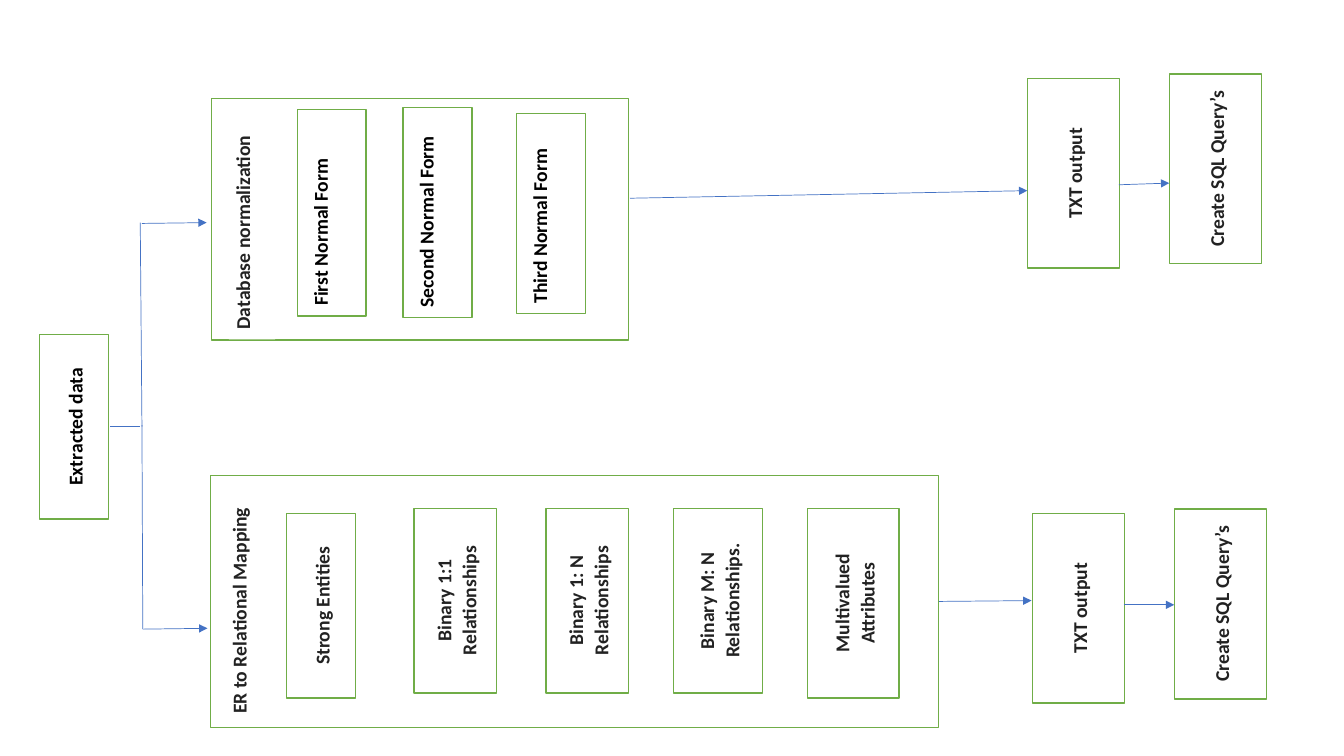
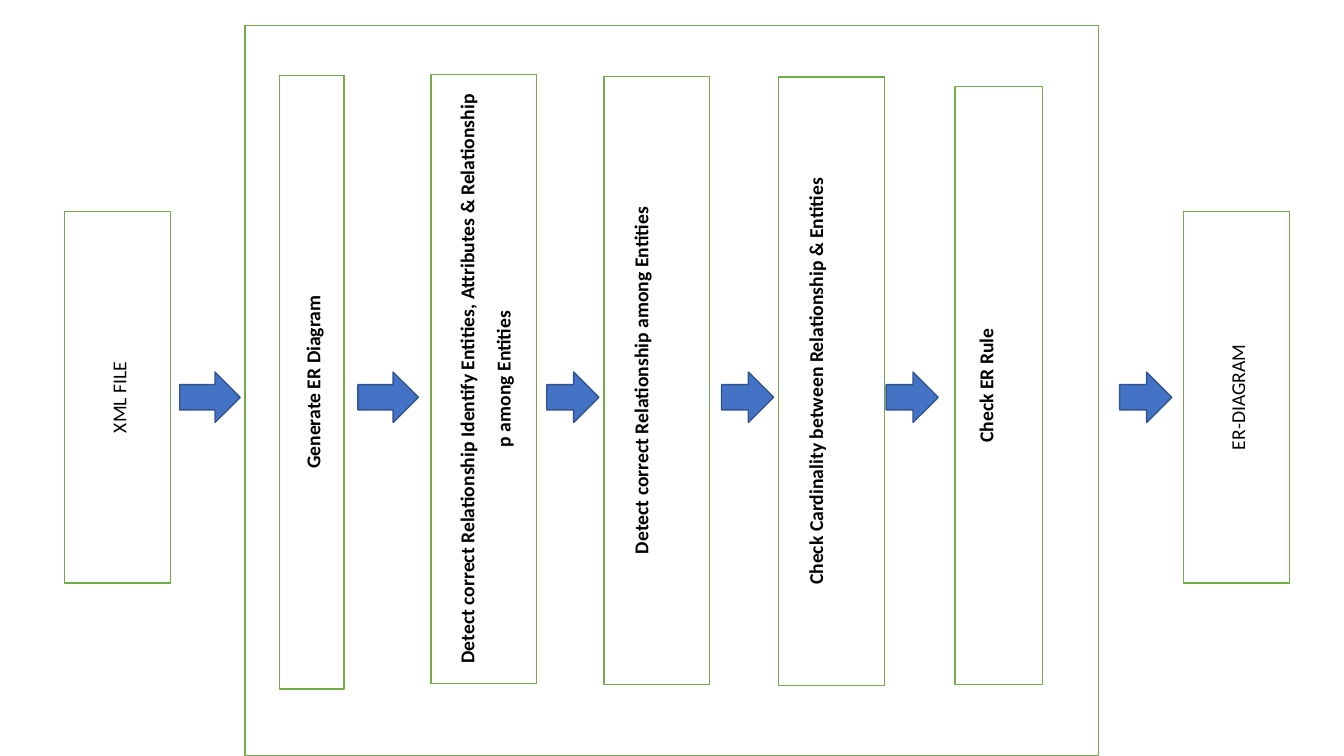
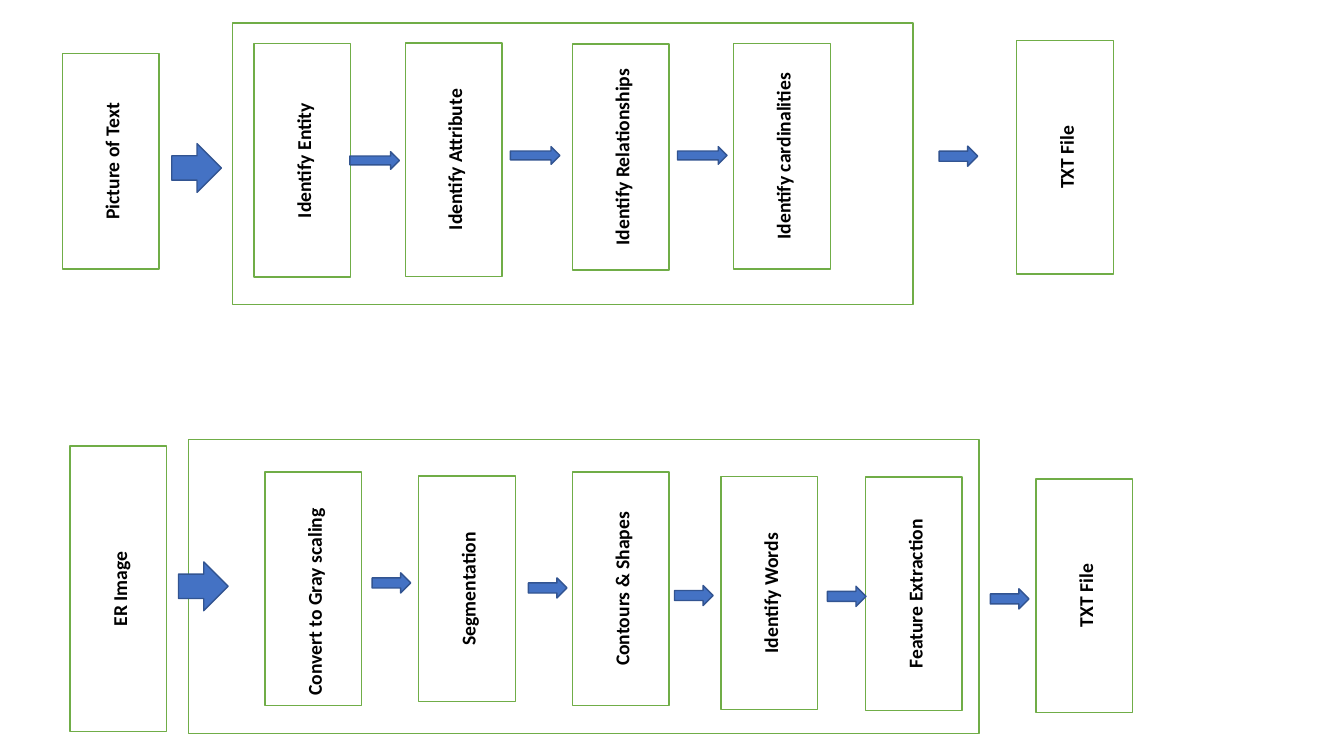
from dataclasses import dataclass
from lxml import etree
from pptx import Presentation, util as u
from pptx.dml.color import RGBColor as Rgb
from pptx.enum import shapes, text
from pptx.oxml.ns import qn


@dataclass(frozen=True)
class Theme:
    font: str = "Calibri"
    size: u.Pt = u.Pt(14)
    after: u.Pt = u.Pt(8)
    lead: float = 1.07
    tall: u.Pt = u.Pt(22.5)
    thin: u.Pt = u.Pt(0.5)
    rule: u.Pt = u.Pt(1)
    white: Rgb = Rgb(0xFF, 0xFF, 0xFF)
    black: Rgb = Rgb(0, 0, 0)
    ink: Rgb = Rgb(0x22, 0x22, 0x22)
    green: Rgb = Rgb(0x70, 0xAD, 0x47)
    blue: Rgb = Rgb(0x44, 0x72, 0xC4)
    navy: Rgb = Rgb(0x32, 0x54, 0x91)


look = Theme()
COLS, ROWS = 160, 90
LEFT, RIGHT = 0, 2
MID, START = text.PP_ALIGN.CENTER, text.PP_ALIGN.LEFT

deck = Presentation()
deck.slide_width = u.Inches(13.33)
deck.slide_height = u.Inches(7.5)
col = deck.slide_width / COLS
row = deck.slide_height / ROWS
blank = deck.slide_layouts[6]


def draw(page, kind, x, y, wide, high, fill, edge):
    item = page.shapes.add_shape(
        kind, round((x - wide / 2) * col), round((y - high / 2) * row),
        round(wide * col), round(high * row))
    item.shadow.inherit = False
    item.fill.solid()
    item.fill.fore_color.rgb = fill
    if edge is None:
        item.line.fill.background()
    else:
        item.line.color.rgb = edge
        item.line.width = look.rule
    return item


def box(page, x, y, wide, high, words="", tone=look.black, bold=True,
        align=MID, top=None, lead=look.lead, edge=look.green):
    item = draw(page, shapes.MSO_SHAPE.RECTANGLE, x, y, high, wide, look.white, edge)
    item.rotation = 270
    if not words:
        return item
    frame = item.text_frame
    frame.word_wrap = True
    frame.vertical_anchor = text.MSO_ANCHOR.MIDDLE
    if top is not None:
        frame.vertical_anchor = text.MSO_ANCHOR.TOP
        frame.margin_top = u.Inches(top)
    frame.text = words
    for para in frame.paragraphs:
        para.alignment = align
        para.line_spacing = lead
        para.space_after = look.after
        para.font.name = look.font
        para.font.size = look.size
        para.font.bold = bold
        para.font.color.rgb = tone
    return item


page = deck.slides.add_slide(blank)
source = box(page, 8.8, 50.8, 8.2, 22, "Extracted data")
mapper = box(page, 68.4, 71.6, 86.6, 30)
box(page, 50, 26.1, 49.6, 28.8)

for x, y, high, words in [
    (29.6, 71.5, 29.3, "ER to Relational Mapping"),
    (30, 26.2, 28.4, "Database normalization"),
]:
    box(page, x, y, 5.5, high, words, look.ink, align=START, top=0, edge=None)

for x, y, wide, high, words in [
    (38.2, 72.1, 8.2, 22, "Strong Entities"),
    (54.2, 71.5, 9.8, 22, "Binary 1:1 Relationships"),
    (69.9, 71.5, 9.8, 22, "Binary 1: N Relationships"),
    (85.5, 71.5, 10.6, 22, "Binary M: N Relationships."),
    (101.6, 71.8, 10.9, 22.6, "Multivalued Attributes"),
]:
    box(page, x, y, wide, high, words, look.ink)

for x, y, high, words in [
    (39.5, 25.3, 24.6, "First Normal Form"),
    (52.1, 25.3, 25, "Second Normal Form"),
    (65.6, 25.4, 23.8, "Third Normal Form"),
]:
    box(page, x, y, 8.2, high, words, align=START, top=0.03, lead=look.tall)

for x, y in [(127.8, 20.6), (128.4, 72.4)]:
    box(page, x, y, 10.9, 22.6, "TXT output", look.ink)
    query = box(page, x + 16.9, y - 0.5, 10.9, 22.6, "Create SQL Query’s", look.ink)

for x, y, to_x, to_y, head, tie, goal in [
    (13.1, 50.8, 16.7, 50.8, False, source, None),
    (16.9, 50.6, 17, 74.9, False, None, None),
    (16.7, 26.5, 16.9, 50.8, False, None, None),
    (17, 74.9, 24.7, 74.8, True, None, None),
    (16.9, 26.6, 24.6, 26.5, True, None, None),
    (111.8, 71.6, 122.8, 71.5, True, mapper, None),
    (133.8, 72, 139.8, 72, True, None, query),
    (75, 23.6, 122.3, 22.7, True, None, None),
    (133.2, 22, 139.2, 21.8, True, None, None),
]:
    wire = page.shapes.add_connector(shapes.MSO_CONNECTOR.STRAIGHT, 0, 0, 0, 0)
    if tie:
        wire.begin_connect(tie, RIGHT)
    if goal:
        wire.end_connect(goal, LEFT)
    wire.begin_x, wire.begin_y = round(x * col), round(y * row)
    wire.end_x, wire.end_y = round(to_x * col), round(to_y * row)
    wire.line.color.rgb = look.blue
    wire.line.width = look.thin
    if head:
        etree.SubElement(wire.line._get_or_add_ln(), qn("a:tailEnd"), type="triangle")
    etree.SubElement(wire._element.spPr, qn("a:effectLst"))

page = deck.slides.add_slide(blank)
box(page, 80, 46.5, 101.6, 87)
for x, y, wide, high, top, words in [
    (37.1, 45.5, 7.7, 73.1, None, "Generate ER Diagram"),
    (57.6, 45.1, 12.6, 72.5, None,
     "Detect correct Relationship Identify Entities, Attributes & Relationship\n"
     "p among Entities"),
    (78.2, 45.3, 12.6, 72.4, 0.23, "Detect correct Relationship among Entities"),
    (99, 45.4, 12.6, 72.5, 0.23, "Check Cardinality between Relationship & Entities"),
    (118.9, 45.9, 10.4, 71.2, 0.17, "Check ER Rule"),
]:
    box(page, x, y, wide, high, words, top=top)
for x, words in [(14, "XML FILE"), (147.2, "ER-DIAGRAM")]:
    box(page, x, 47.3, 12.6, 44.2, words, bold=False)
for x, wide in [(25, 7.2), (46.2, 7.2), (68.2, 6.2), (89, 6.2), (108.6, 6.2), (136.4, 6.2)]:
    draw(page, shapes.MSO_SHAPE.RIGHT_ARROW, x, 47.3, wide, 6, look.blue, look.navy)

page = deck.slides.add_slide(blank)
box(page, 68.2, 19.5, 81, 33.5)
box(page, 69.5, 69.8, 94.1, 35)
for x, y, high, words in [
    (13.2, 19.2, 25.7, "Picture of Text"),
    (36, 19.1, 27.8, "Identify Entity"),
    (54, 19, 27.8, "Identify Attribute"),
    (73.9, 18.7, 26.9, "Identify Relationships"),
    (93.1, 18.6, 26.9, "Identify cardinalities"),
    (126.8, 18.7, 27.8, "TXT File"),
    (14.1, 70.1, 34, "ER Image"),
    (37.3, 70.1, 27.8, "Convert to Gray scaling"),
    (55.6, 70.1, 26.9, "Segmentation"),
    (73.9, 70.1, 27.8, "Contours & Shapes"),
    (91.6, 70.6, 27.8, "Identify Words"),
    (108.8, 70.7, 27.8, "Feature Extraction"),
    (129.1, 70.9, 27.8, "TXT File"),
]:
    box(page, x, y, 11.5, high, words, align=START if "Gray" in words else MID)

for wide, high, spots in [
    (5.9, 5.8, [(23.4, 20), (24.2, 69.8)]),
    (5.9, 2.1, [(44.6, 19.1), (63.7, 18.5), (83.6, 18.5)]),
    (4.6, 2.4, [(114.1, 18.6), (46.6, 69.4), (65.2, 70), (82.6, 70.9),
                (100.8, 71), (120.2, 71.3)]),
]:
    for x, y in spots:
        draw(page, shapes.MSO_SHAPE.RIGHT_ARROW, x, y, wide, high, look.blue, look.navy)

deck.save("out.pptx")
